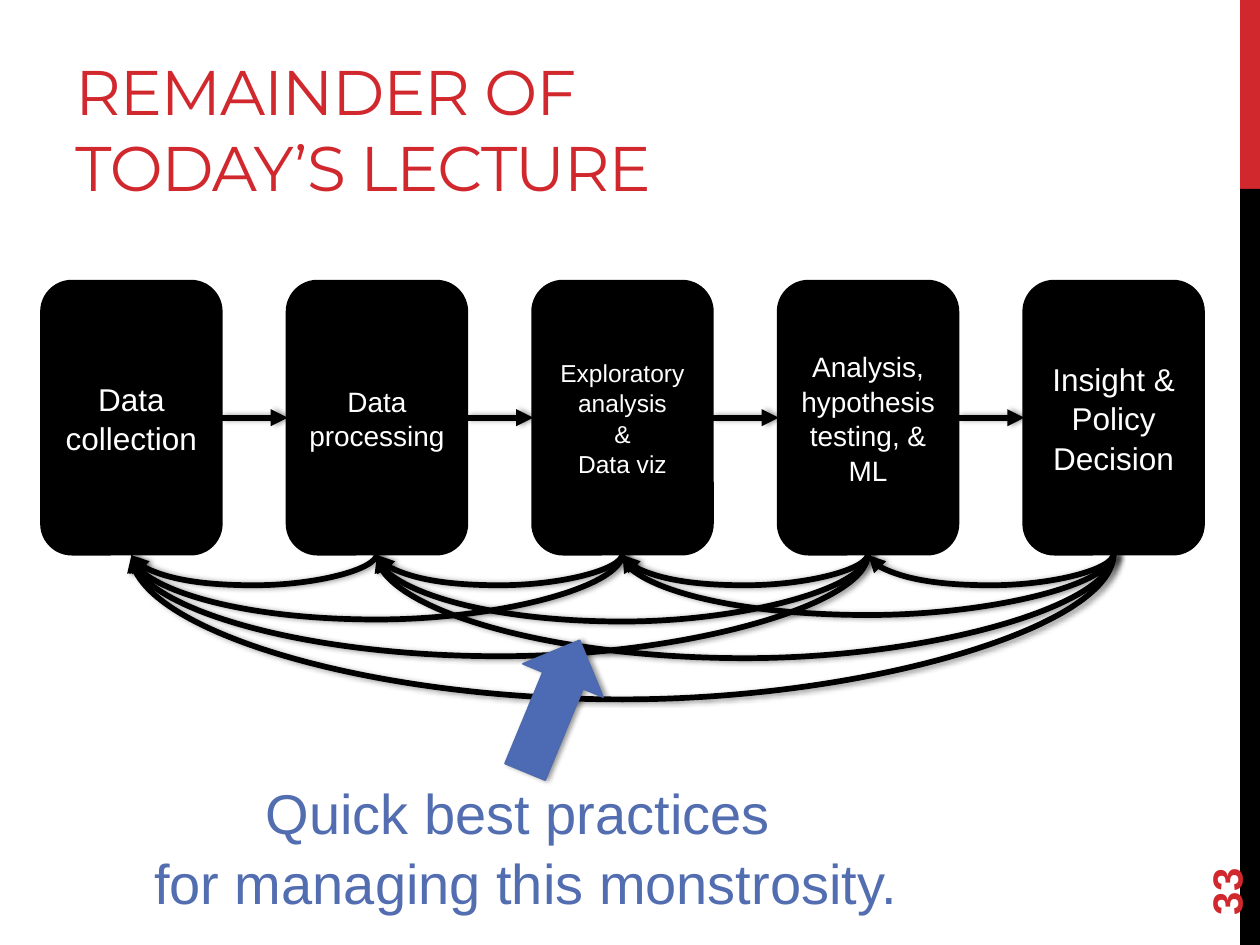
from lxml import etree
from pptx import Presentation
from pptx.dml.color import RGBColor
from pptx.enum.shapes import MSO_CONNECTOR, MSO_SHAPE
from pptx.enum.text import MSO_ANCHOR, PP_ALIGN
from pptx.oxml.ns import qn
from pptx.util import Cm, Pt

STRAIGHT, CURVE = MSO_CONNECTOR.STRAIGHT, MSO_CONNECTOR.CURVE
RECTANGLE, ROUNDED, UP_ARROW = MSO_SHAPE.RECTANGLE, MSO_SHAPE.ROUNDED_RECTANGLE, MSO_SHAPE.UP_ARROW
MIDDLE, BOTTOM, TOP = MSO_ANCHOR.MIDDLE, MSO_ANCHOR.BOTTOM, MSO_ANCHOR.TOP
LEFT, CENTER = PP_ALIGN.LEFT, PP_ALIGN.CENTER

RED, BLACK, WHITE = "D1282E", "000000", "FFFFFF"
BLUE, BLUE_LINE, BLUE_TEXT = "4D6BB5", "4E6AAE", "526DB0"

# Stage boxes, in centimetres
STAGE_LEFT, STAGE_TOP, STAGE_WIDTH, STAGE_HEIGHT, STAGE_PITCH = 0.85, 5.68, 3.6, 5.48, 4.95
CURVE_RISE = 0.03

# Text lines, font size, and depths of the curves back to the
# previous stage, the one before it, and so on
STAGES = [
    (["Data collection"], 18, []),
    (["Data processing"], 16, [0.64]),
    (["Exploratory analysis", "&", "Data viz"], 14, [0.64, 1.33]),
    (["Analysis, hypothesis testing, & ML"], 16, [0.64, 1.37, 2.07]),
    (["Insight & Policy Decision"], 18, [0.64, 1.24, 2.11, 2.94]),
]


def color(hex_string):
    return RGBColor.from_string(hex_string)


def add_shadow(shape):
    """Give the shape a soft shadow to its right."""
    properties = shape._element.spPr
    effects = properties.find(qn("a:effectLst"))
    if effects is None:
        effects = etree.SubElement(properties, qn("a:effectLst"))
    shadow = etree.SubElement(effects, qn("a:outerShdw"), blurRad=str(Pt(3.1)),
                              dist=str(Pt(1.8)), dir="0", rotWithShape="0")
    shade = etree.SubElement(shadow, qn("a:srgbClr"), val=BLACK)
    etree.SubElement(shade, qn("a:alpha"), val="40000")


def write_text(shape, lines, size, hex_string, anchor=MIDDLE, align=CENTER, **font_format):
    frame = shape.text_frame
    frame.word_wrap = True
    frame.vertical_anchor = anchor
    values = {"name": "Arial", "size": Pt(size), **font_format}
    for index, line in enumerate(lines):
        paragraph = frame.add_paragraph() if index else frame.paragraphs[0]
        paragraph.alignment = align
        if values["name"] == "Arial":
            paragraph.line_spacing = 1.04
        run = paragraph.add_run()
        run.text = line
        run.font.color.rgb = color(hex_string)
        for name, value in values.items():
            setattr(run.font, name, value)


def add_text(slide, left, top, width, height, lines, size, hex_string, **text_format):
    box = slide.shapes.add_textbox(Cm(left), Cm(top), Cm(width), Cm(height))
    write_text(box, lines, size, hex_string, **text_format)
    return box


def add_block(slide, kind, left, top, width, height, fill, line=None, weight=1):
    shape = slide.shapes.add_shape(kind, Cm(left), Cm(top), Cm(width), Cm(height))
    shape.shadow.inherit = False
    shape.fill.solid()
    shape.fill.fore_color.rgb = color(fill)
    if line:
        shape.line.color.rgb = color(line)
        shape.line.width = Pt(weight)
    else:
        shape.line.fill.background()
    return shape


def add_arrow(slide, kind, start_x, start_y, end_x, end_y):
    arrow = slide.shapes.add_connector(kind, Cm(start_x), Cm(start_y), Cm(end_x), Cm(end_y))
    arrow.line.color.rgb = color(BLACK)
    arrow.line.width = Pt(3.25)
    etree.SubElement(arrow.line._get_or_add_ln(), qn("a:tailEnd"), type="triangle")
    add_shadow(arrow)
    return arrow


def add_return_curve(slide, start_x, end_x, depth):
    """Draw a curve that leaves a stage downwards and returns to an earlier one."""
    center_x = (start_x + end_x) / 2
    center_y = STAGE_TOP + STAGE_HEIGHT + CURVE_RISE / 2
    half_span = (start_x - end_x) / 2
    curve = add_arrow(slide, CURVE, center_x - CURVE_RISE / 2, center_y - half_span,
                      center_x + CURVE_RISE / 2, center_y + half_span)
    properties = curve._element.spPr
    properties.find(qn("a:xfrm")).set("rot", str(90 * 60000))
    adjustments = properties.find(qn("a:prstGeom")).get_or_add_avLst()
    etree.SubElement(adjustments, qn("a:gd"), name="adj1",
                     fmla=f"val {round(depth / CURVE_RISE * 100000)}")


def add_stages(slide):
    middle_y = STAGE_TOP + STAGE_HEIGHT / 2
    for index, (lines, size, depths) in enumerate(STAGES):
        left = STAGE_LEFT + index * STAGE_PITCH
        box = add_block(slide, ROUNDED, left, STAGE_TOP, STAGE_WIDTH, STAGE_HEIGHT,
                        BLACK, BLACK, 2.25)
        write_text(box, lines, size, WHITE)
        if index:
            add_arrow(slide, STRAIGHT, left - STAGE_PITCH + STAGE_WIDTH, middle_y, left, middle_y)
        center = left + STAGE_WIDTH / 2
        for steps, depth in enumerate(depths, start=1):
            add_return_curve(slide, center, center - steps * STAGE_PITCH, depth)


def main():
    presentation = Presentation()
    presentation.slide_width, presentation.slide_height = Cm(25.4), Cm(19.05)
    slide = presentation.slides.add_slide(presentation.slide_layouts[6])

    add_block(slide, RECTANGLE, 25, 0, 0.4, 3.81, RED)
    add_block(slide, RECTANGLE, 25, 3.81, 0.4, 15.24, BLACK)
    title = add_text(slide, 1.27, 0.43, 16.08, 3.81, ["REMAINDER OF TODAY’S LECTURE"], 36, RED,
                     anchor=BOTTOM, align=LEFT, name="Montserrat")
    title.text_frame.paragraphs[0].runs[0].font._element.set("spc", "-60")
    number = add_text(slide, 22.86, 16.36, 3.66, 1.02, ["33"], 24, RED, align=LEFT, bold=True)
    number.rotation = 270

    add_stages(slide)
    add_text(slide, 1.32, 15.52, 18.57, 3,
             ["Quick best practices ", "for managing this monstrosity."], 32, BLUE_TEXT, anchor=TOP)
    pointer = add_block(slide, UP_ARROW, 10.26, 12.8, 1.75, 2.87, BLUE, BLUE_LINE)
    pointer.rotation = 22.5
    add_shadow(pointer)

    presentation.save("out.pptx")


if __name__ == "__main__":
    main()
